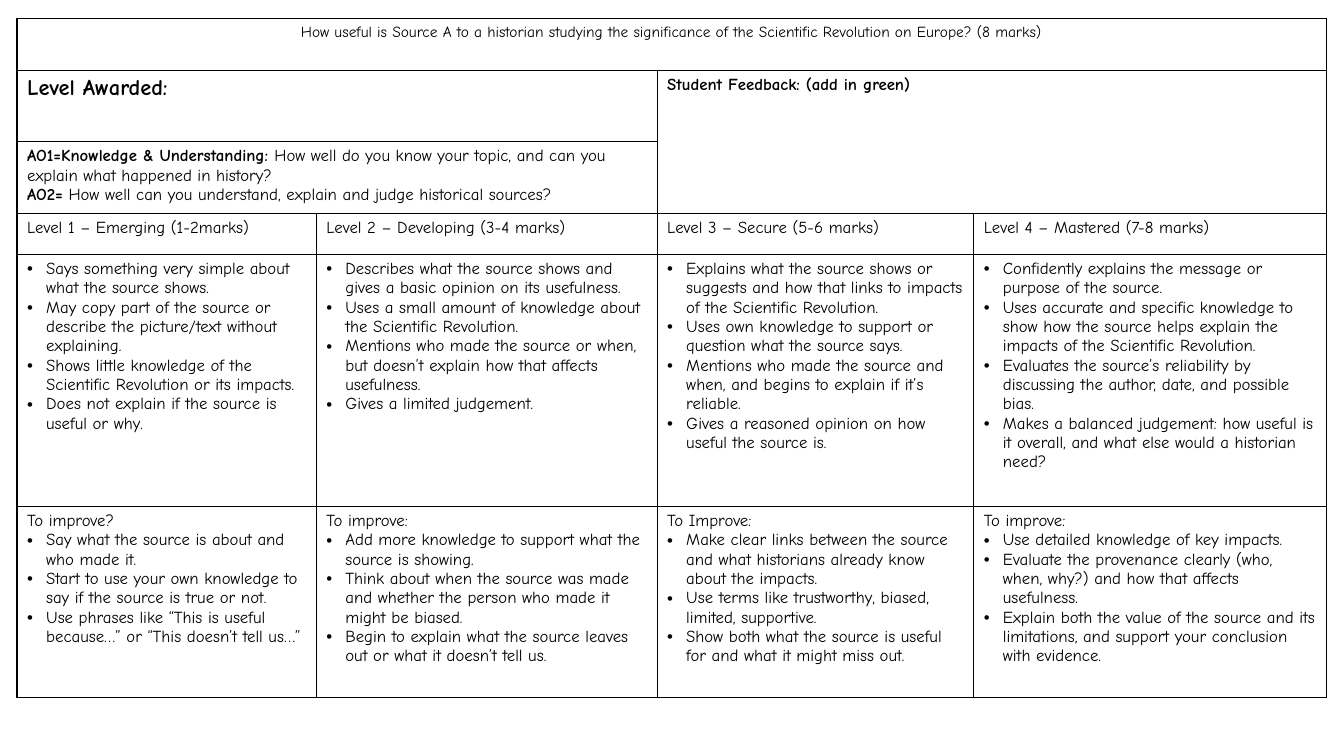
from pptx import Presentation
from pptx import util as u
from pptx.dml import color
from pptx.enum import text
from pptx.oxml import parse_xml
from pptx.oxml import ns

COLOURS = {"ink": "000000", "paper": "FFFFFF"}
BODY = {"name": "Comic Neue", "size": u.Pt(12), "bold": False}
STRONG = {**BODY, "bold": True}
QUESTION = {**BODY, "size": u.Pt(11)}
AWARD = {**STRONG, "size": u.Pt(16)}
INDENT = u.Cm(0.48)

COLUMN_WIDTHS = [7.54, 8.59, 7.98, 8.89]
ROW_HEIGHTS = [1.3, 1.8, 1.8, 1.04, 6.35, 4.82]
MERGES = [((0, 0), (0, 3)), ((1, 0), (1, 1)), ((1, 2), (2, 3)), ((2, 0), (2, 1))]

HEADER_CELLS = [
    (0, 0, [[("How useful is Source A to a historian studying the significance of "
              "the Scientific Revolution on Europe? (8 marks)", QUESTION)]]),
    (1, 0, [[("Level Awarded:", AWARD)]]),
    (1, 2, [[("Student Feedback: (add in green)", STRONG)]]),
    (2, 0, [[("AO1=Knowledge & Understanding: ", STRONG),
             ("How well do you know your topic, and can you explain what happened "
              "in history?", BODY)],
            [("AO2=", STRONG),
             (" How well can you understand, explain and judge historical sources?", BODY)]]),
]

LEVELS = [
    ("Level 1 – Emerging (1-2marks)",
     ["Says something very simple about what the source shows.",
      "May copy part of the source or describe the picture/text without explaining.",
      "Shows little knowledge of the Scientific Revolution or its impacts.",
      "Does not explain if the source is useful or why."],
     "To improve?",
     ["Say what the source is about and who made it.",
      "Start to use your own knowledge to say if the source is true or not.",
      "Use phrases like “This is useful because…” or “This doesn’t tell us…”"]),
    ("Level 2 – Developing (3-4 marks)",
     ["Describes what the source shows and gives a basic opinion on its usefulness.",
      "Uses a small amount of knowledge about the Scientific Revolution.",
      "Mentions who made the source or when, but doesn’t explain how that affects usefulness.",
      "Gives a limited judgement."],
     "To improve:",
     ["Add more knowledge to support what the source is showing.",
      "Think about when the source was made and whether the person who made it might be biased.",
      "Begin to explain what the source leaves out or what it doesn’t tell us."]),
    ("Level 3 – Secure (5-6 marks)",
     ["Explains what the source shows or suggests and how that links to impacts of the "
      "Scientific Revolution.",
      "Uses own knowledge to support or question what the source says.",
      "Mentions who made the source and when, and begins to explain if it’s reliable.",
      "Gives a reasoned opinion on how useful the source is."],
     "To Improve:",
     ["Make clear links between the source and what historians already know about the impacts.",
      "Use terms like trustworthy, biased, limited, supportive.",
      "Show both what the source is useful for and what it might miss out."]),
    ("Level 4 – Mastered (7-8 marks)",
     ["Confidently explains the message or purpose of the source.",
      "Uses accurate and specific knowledge to show how the source helps explain the "
      "impacts of the Scientific Revolution.",
      "Evaluates the source’s reliability by discussing the author, date, and possible bias.",
      "Makes a balanced judgement: how useful is it overall, and what else would a "
      "historian need?"],
     "To improve:",
     ["Use detailed knowledge of key impacts.",
      "Evaluate the provenance clearly (who, when, why?) and how that affects usefulness.",
      "Explain both the value of the source and its limitations, and support your "
      "conclusion with evidence."]),
]


def apply_format(target, values):
    for name, value in values.items():
        setattr(target, name, value)


def style_cell(cell):
    properties = cell._tc.get_or_add_tcPr()
    for side in ("lnL", "lnR", "lnT", "lnB"):
        properties.append(parse_xml(
            f'<a:{side} {ns.nsdecls("a")} w="{u.Pt(1)}"><a:solidFill>'
            f'<a:srgbClr val="{COLOURS["ink"]}"/></a:solidFill></a:{side}>'))
    cell.fill.solid()
    cell.fill.fore_color.rgb = color.RGBColor.from_string(COLOURS["paper"])


def add_bullet(paragraph):
    properties = paragraph._p.get_or_add_pPr()
    properties.set("marL", str(INDENT))
    properties.set("indent", str(-INDENT))
    for tag in ('buFont typeface="Arial"', 'buChar char="•"'):
        properties.append(parse_xml(f'<a:{tag} {ns.nsdecls("a")}/>'))


def next_paragraph(frame):
    first = frame.paragraphs[0]
    return frame.add_paragraph() if first.runs else first


def write_paragraph(cell, runs, bulleted=False):
    paragraph = next_paragraph(cell.text_frame)
    for words, values in runs:
        run = paragraph.add_run()
        run.text = words
        apply_format(run.font, values)
        run.font.color.rgb = color.RGBColor.from_string(COLOURS["ink"])
    if bulleted:
        add_bullet(paragraph)
    return paragraph


def write_bullets(cell, points):
    for point in points:
        write_paragraph(cell, [(point, BODY)], bulleted=True)


def add_grid(slide):
    frame = slide.shapes.add_table(
        len(ROW_HEIGHTS), len(COLUMN_WIDTHS), u.Cm(0.43), u.Cm(0.47),
        u.Cm(sum(COLUMN_WIDTHS)), u.Cm(sum(ROW_HEIGHTS)))
    table = frame.table
    apply_format(table, {"first_row": False, "horz_banding": False})
    for column, width in zip(table.columns, COLUMN_WIDTHS):
        column.width = u.Cm(width)
    for row, height in zip(table.rows, ROW_HEIGHTS):
        row.height = u.Cm(height)
    for cell in table.iter_cells():
        style_cell(cell)
    for start, end in MERGES:
        table.cell(*start).merge(table.cell(*end))
    return table


def fill_header(table):
    for row, column, paragraphs in HEADER_CELLS:
        for runs in paragraphs:
            write_paragraph(table.cell(row, column), runs)
    question = table.cell(0, 0).text_frame.paragraphs[0]
    question.alignment = text.PP_ALIGN.CENTER


def fill_level(table, column, level):
    title, criteria, prompt, improvements = level
    write_paragraph(table.cell(3, column), [(title, BODY)])
    write_bullets(table.cell(4, column), criteria)
    write_paragraph(table.cell(5, column), [(prompt, BODY)])
    write_bullets(table.cell(5, column), improvements)


def main():
    presentation = Presentation()
    apply_format(presentation, {"slide_width": u.Cm(33.87), "slide_height": u.Cm(19.05)})
    slide = presentation.slides.add_slide(presentation.slide_layouts[6])
    table = add_grid(slide)
    fill_header(table)
    for column, level in enumerate(LEVELS):
        fill_level(table, column, level)
    presentation.save("out.pptx")


if __name__ == "__main__":
    main()
